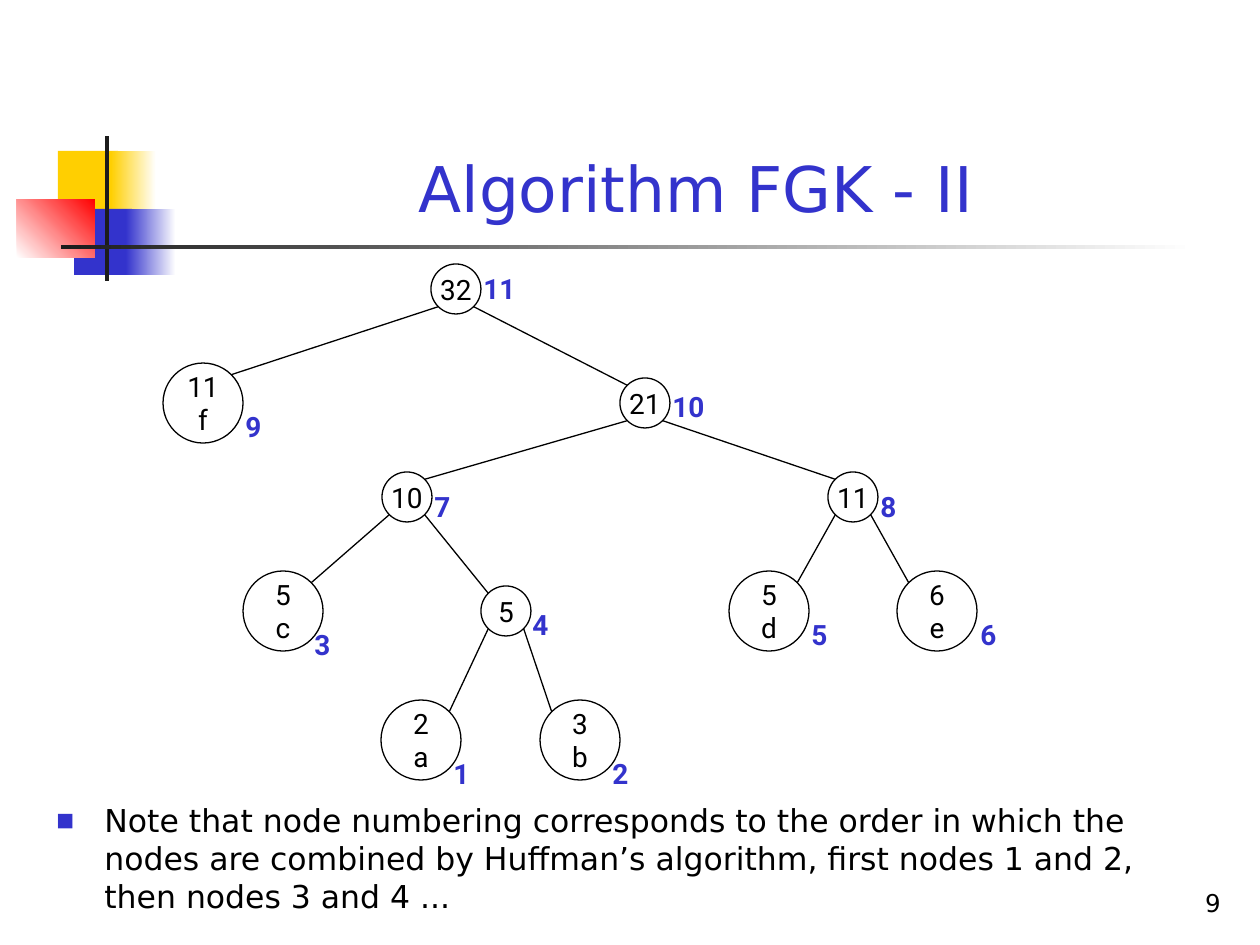
from dataclasses import dataclass
from math import sqrt

from lxml import etree
from pptx import Presentation
from pptx import util as u
from pptx.dml.color import RGBColor
from pptx.enum import shapes, text
from pptx.oxml import ns

PX = u.Inches(1) / 126


def px(*values):
    """Turn pixels into a list of EMU lengths."""
    return [u.Emu(round(v * PX)) for v in values]


@dataclass(frozen=True)
class Theme:
    """Colours, fonts and type sizes."""
    ink: str = "000000"
    blue: str = "3333CC"
    yellow: str = "FFCF01"
    red: str = "FF0000"
    bar: str = "1C1C1C"
    paper: str = "FFFFFF"
    font: str = "DejaVu Sans"
    node_font: str = "Roboto"
    title: int = 36
    body: int = 18
    node: int = 16
    number: int = 14
    line: float = 0.75


class Deck:
    """Draws styled elements on the current slide."""

    def __init__(self, theme):
        self.t = theme
        self.prs = Presentation()
        self.prs.slide_width, self.prs.slide_height = u.Inches(10), u.Inches(7.5)

    def add_slide(self):
        """Start a slide on the title-only layout."""
        self.s = self.prs.slides.add_slide(self.prs.slide_layouts[5])

    def set_text(self, tf, lines, size, color, font, align, anchor, bold=False):
        """Set one paragraph per line."""
        tf.vertical_anchor = anchor
        for i, line in enumerate(lines):
            p = tf.add_paragraph() if i else tf.paragraphs[0]
            p.alignment = align
            r = p.add_run()
            r.text = line
            r.font.size, r.font.name, r.font.bold = u.Pt(size), font, bold
            r.font.color.rgb = RGBColor.from_string(color)

    def title(self, box, line):
        """Place and fill the title placeholder."""
        sp = self.s.shapes.title
        sp.left, sp.top, sp.width, sp.height = px(*box)
        sp.text_frame.auto_size = text.MSO_AUTO_SIZE.NONE
        self.set_text(sp.text_frame, [line], self.t.title, self.t.blue, self.t.font,
                      text.PP_ALIGN.CENTER, text.MSO_ANCHOR.BOTTOM)

    def block(self, box, start, end=None, angle=0):
        """Draw a rectangle with a plain or gradient fill."""
        sp = self.s.shapes.add_shape(shapes.MSO_SHAPE.RECTANGLE, *px(*box))
        sp.shadow.inherit = False
        sp.line.fill.background()
        if end is None:
            sp.fill.solid()
            sp.fill.fore_color.rgb = RGBColor.from_string(start)
            return
        sp.fill.gradient()
        sp.fill.gradient_angle = angle
        for stop, color in zip(sp.fill.gradient_stops, (start, end)):
            stop.color.rgb = RGBColor.from_string(color)

    def text_box(self, box, line, size, color, font, align=text.PP_ALIGN.LEFT,
                 anchor=text.MSO_ANCHOR.TOP, bold=False):
        """Add a wrapping text box and return its text frame."""
        tf = self.s.shapes.add_textbox(*px(*box)).text_frame
        tf.word_wrap = True
        self.set_text(tf, [line], size, color, font, align, anchor, bold)
        return tf

    def bullet(self, box, line):
        """Add a text box with a square bullet."""
        tf = self.text_box(box, line, self.t.body, self.t.ink, self.t.font)
        pPr = tf.paragraphs[0]._p.get_or_add_pPr()
        indent = px(48)[0]
        pPr.set("marL", str(indent))
        pPr.set("indent", str(-indent))
        color = etree.SubElement(pPr, ns.qn("a:buClr"))
        etree.SubElement(color, ns.qn("a:srgbClr"), val=self.t.blue)
        etree.SubElement(pPr, ns.qn("a:buSzPct"), val="60000")
        etree.SubElement(pPr, ns.qn("a:buFont"), typeface=self.t.font)
        etree.SubElement(pPr, ns.qn("a:buChar"), char="■")

    def node(self, x, y, d, lines):
        """Draw a circle of diameter d centred on x, y."""
        sp = self.s.shapes.add_shape(shapes.MSO_SHAPE.OVAL, *px(x - d / 2, y - d / 2, d, d))
        sp.shadow.inherit = False
        sp.fill.background()
        sp.line.color.rgb = RGBColor.from_string(self.t.ink)
        sp.line.width = u.Pt(self.t.line)
        sp.text_frame.word_wrap = False
        self.set_text(sp.text_frame, lines, self.t.node, self.t.ink, self.t.node_font,
                      text.PP_ALIGN.CENTER, text.MSO_ANCHOR.MIDDLE)

    def link(self, x1, y1, x2, y2):
        """Draw a straight line."""
        cx = self.s.shapes.add_connector(shapes.MSO_CONNECTOR.STRAIGHT, *px(x1, y1, x2, y2))
        cx.line.color.rgb = RGBColor.from_string(self.t.ink)
        cx.line.width = u.Pt(self.t.line)
        etree.SubElement(cx._element.spPr, ns.qn("a:effectLst"))

    def label(self, x, y, number):
        """Add a node number."""
        line = str(number)
        self.text_box((x, y, 29 + 20 * len(line), 47), line, self.t.node, self.t.blue,
                      self.t.node_font, bold=True)


# number: centre x, centre y, lines, label x, label y
NODES = {
    1: (421, 740, ["2", "a"], 441, 750),
    2: (580, 740, ["3", "b"], 600, 750),
    3: (283, 611, ["5", "c"], 302, 621),
    4: (506, 611, ["5"], 520, 601),
    5: (769, 611, ["5", "d"], 799, 611),
    6: (937, 611, ["6", "e"], 968, 611),
    7: (407, 497, ["10"], 422, 483),
    8: (853, 497, ["11"], 868, 483),
    9: (203, 403, ["11", "f"], 233, 403),
    10: (645, 403, ["21"], 660, 383),
    11: (456, 289, ["32"], 471, 265),
}
CHILDREN = {11: (9, 10), 10: (7, 8), 7: (3, 4), 8: (5, 6), 4: (1, 2)}


def diameter(number):
    """Leaves carry a symbol and are larger."""
    return 80 if len(NODES[number][2]) == 2 else 50


def corner(number, dx, dy):
    """Return the diagonal point on a node's outline."""
    x, y = NODES[number][:2]
    reach = diameter(number) / 2 / sqrt(2)
    return x + dx * reach, y + dy * reach


t = Theme()
deck = Deck(t)
deck.add_slide()
for block in (
    ((58, 151, 60, 66), t.yellow),
    ((111, 151, 45, 66), t.yellow, t.paper),
    ((74, 209, 58, 66), t.blue),
    ((126, 209, 50, 66), t.blue, t.paper),
    ((17, 199, 78, 59), t.paper, t.red, 45),
    ((105, 136, 4, 145), t.bar),
    ((61, 245, 1134, 4), t.bar, t.paper),
):
    deck.block(*block)
deck.title((159, 29, 1074, 202), "Algorithm FGK - II")

for number, (x, y, lines, label_x, label_y) in NODES.items():
    deck.node(x, y, diameter(number), lines)
    deck.label(label_x, label_y, number)
for parent, pair in CHILDREN.items():
    for child, side in zip(pair, (-1, 1)):
        deck.link(*corner(parent, side, 1), *corner(child, -side, -1))

deck.bullet((44, 795, 1181, 129),
            "Note that node numbering corresponds to the order in which the nodes are "
            "combined by Huffman’s algorithm, first nodes 1 and 2, then nodes 3 and 4 ...")
deck.text_box((1126, 861, 107, 63), "9", t.number, t.ink, t.font,
              text.PP_ALIGN.RIGHT, text.MSO_ANCHOR.BOTTOM)
deck.prs.save("out.pptx")
